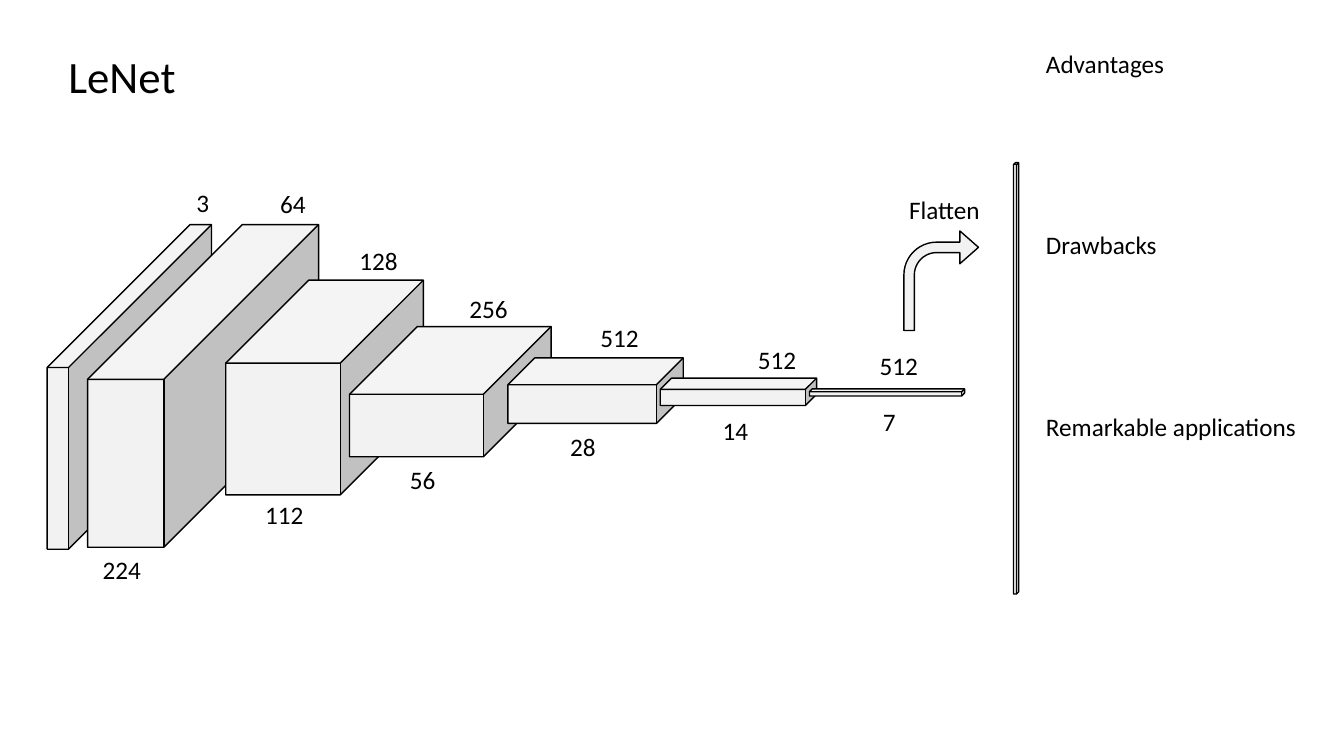
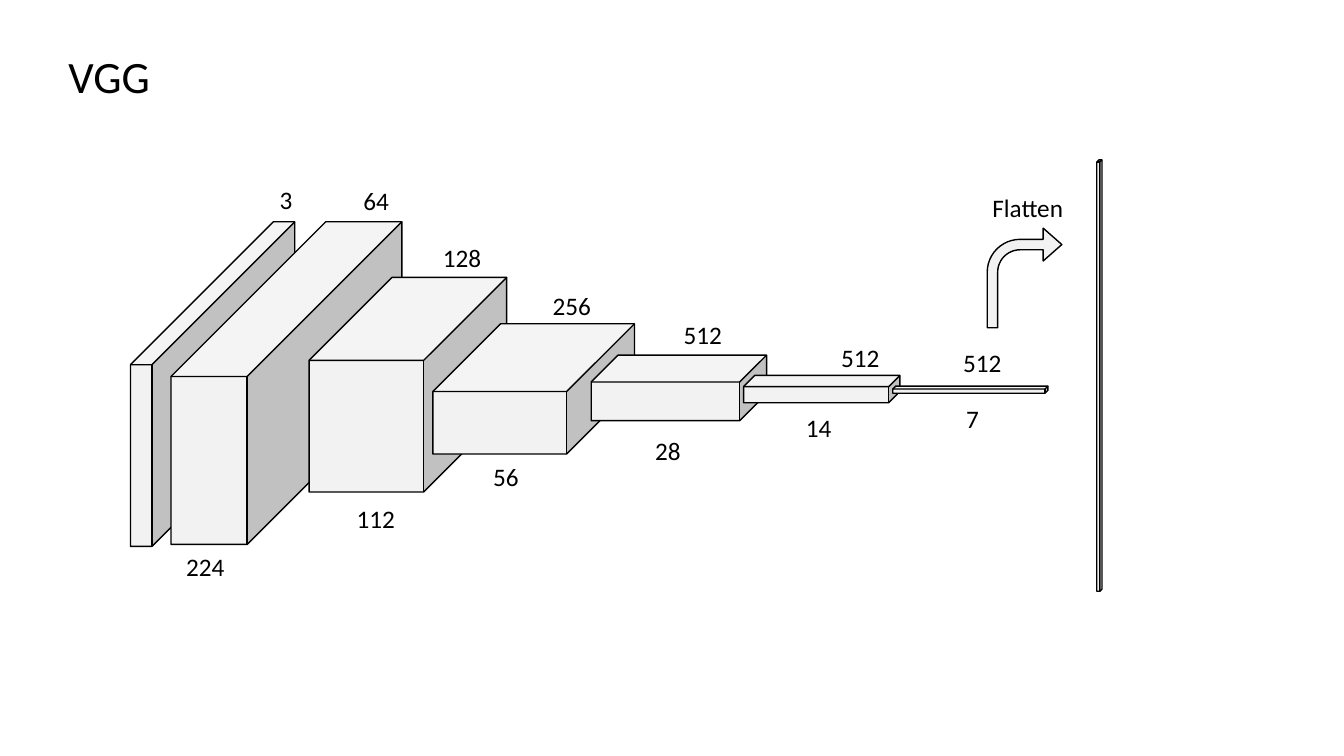
from dataclasses import dataclass
from pptx import Presentation
from pptx.dml.color import RGBColor
from pptx.enum.shapes import MSO_SHAPE
from pptx.enum.text import MSO_ANCHOR, MSO_AUTO_SIZE, PP_ALIGN
from pptx.util import Cm, Pt

CUBE, BENT_ARROW = MSO_SHAPE.CUBE, MSO_SHAPE.BENT_ARROW
LEFT, MIDDLE = PP_ALIGN.LEFT, MSO_ANCHOR.MIDDLE
NO_FIT, FIT_SHAPE = MSO_AUTO_SIZE.NONE, MSO_AUTO_SIZE.SHAPE_TO_FIT_TEXT


@dataclass
class Theme:
    font: str = "Calibri"
    ink: RGBColor = RGBColor(0x00, 0x00, 0x00)
    face: RGBColor = RGBColor(0xF2, 0xF2, 0xF2)
    title: Pt = Pt(32)
    label: Pt = Pt(18)
    outline: Pt = Pt(1)


theme = Theme()


def add_text(sp, text, size=theme.label, fit=FIT_SHAPE):
    tf = sp.text_frame
    tf.word_wrap = False
    tf.auto_size = fit
    p = tf.paragraphs[0]
    p.alignment = LEFT
    r = p.add_run()
    r.text = text
    r.font.name = theme.font
    r.font.size = size
    r.font.color.rgb = theme.ink


def add_block(s, kind, left, top, width, height, adjustments):
    sp = s.shapes.add_shape(kind, Cm(left), Cm(top), Cm(width), Cm(height))
    sp.shadow.inherit = False
    sp.fill.solid()
    sp.fill.fore_color.rgb = theme.face
    sp.line.color.rgb = theme.ink
    sp.line.width = theme.outline
    for i, value in enumerate(adjustments):
        sp.adjustments[i] = value
    return sp


LAYERS = [
    (1.19, 5.66, 4.14, 8.18, 0.87),
    (2.21, 5.66, 5.82, 8.13, 0.67),
    (5.69, 7.06, 4.98, 5.41, 0.42),
    (8.81, 8.23, 5.08, 3.28, 0.52),
    (12.8, 9.02, 4.42, 1.65, 0.41),
    (16.64, 9.53, 3.94, 0.69, 0.41),
    (20.4, 9.8, 3.91, 0.18, 0.41),
]
CHANNELS = [
    ("3", 4.7, 4.6),
    ("64", 6.81, 4.62),
    ("128", 8.81, 6.05),
    ("256", 11.58, 7.26),
    ("512", 14.88, 8),
    ("512", 18.85, 8.56),
    ("512", 21.92, 8.71),
]
RESOLUTIONS = [
    ("224", 2.34, 13.84),
    ("112", 6.43, 12.47),
    ("56", 10.08, 11.58),
    ("28", 14.12, 10.74),
    ("14", 17.96, 10.34),
    ("7", 22, 10.11),
]
NOTES = [("Advantages", 3.53), ("Drawbacks", 3.33), ("Remarkable applications", 6.88)]
NETWORKS = [
    ("LeNet", 0, 0, NOTES, {}),
    ("VGG", 2.1, -0.07, [], {"112": (0.21, 0.15), "28": (0.04, 0.18)}),
]

prs = Presentation()
prs.slide_width, prs.slide_height = Cm(33.87), Cm(19.05)

for name, dx, dy, notes, nudges in NETWORKS:
    s = prs.slides.add_slide(prs.slide_layouts[5])
    title = s.shapes.title
    title.left, title.top, title.width, title.height = Cm(1.47), Cm(1.09), Cm(3.23), Cm(1.63)
    title.text_frame.vertical_anchor = MIDDLE
    add_text(title, name, size=theme.title, fit=NO_FIT)

    for left, top, width, height, depth in LAYERS:
        add_block(s, CUBE, left + dx, top + dy, width, height, [depth])
    flat_layer = add_block(s, CUBE, 20.17 + dx, 9.47 + dy, 10.87, 0.13, [0.41])
    flat_layer.rotation = 270
    flat_layer._element.spPr.xfrm.set("flipV", "1")
    add_block(s, BENT_ARROW, 22.78 + dx, 5.82 + dy, 1.88, 2.51, [0.14, 0.22, 0.25, 0.44])

    labels = [("Flatten", 22.66 + dx, 4.78 + dy, 2.34)]
    for text, left, top in CHANNELS + RESOLUTIONS:
        nudge_x, nudge_y = nudges.get(text, (0, 0))
        labels.append((text, left + dx + nudge_x, top + dy + nudge_y, 0.51 + 0.33 * len(text)))
    for i, (text, width) in enumerate(notes):
        labels.append((text, 26.11, 1.09 + 4.57 * i, width))
    for text, left, top, width in labels:
        add_text(s.shapes.add_textbox(Cm(left), Cm(top), Cm(width), Cm(1.02)), text)

prs.save("out.pptx")
